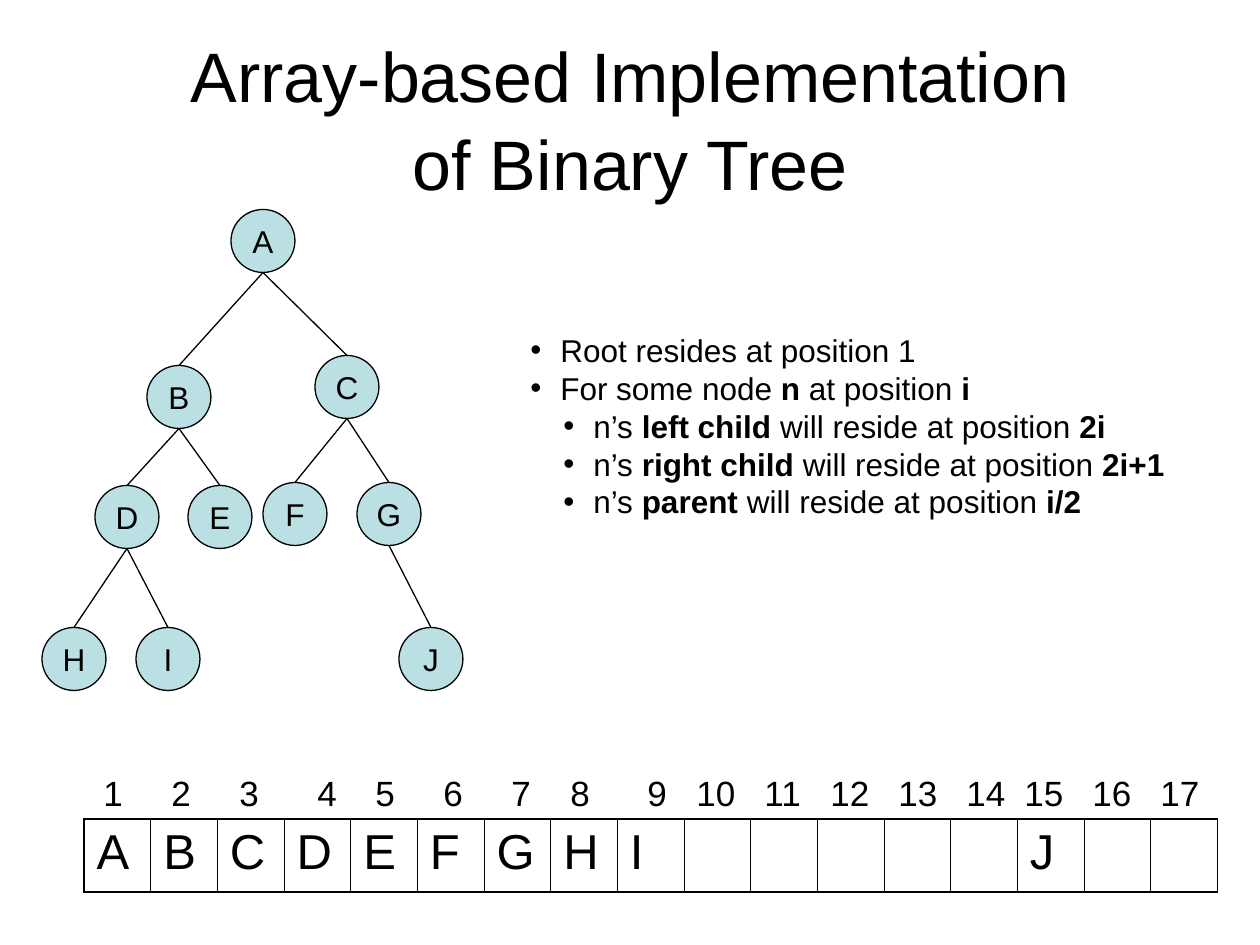
from lxml import etree
from pptx import Presentation
from pptx.dml.color import RGBColor
from pptx.enum.shapes import MSO_CONNECTOR as CONNECTOR, MSO_SHAPE as SHAPE
from pptx.enum.text import MSO_ANCHOR as ANCHOR, PP_ALIGN as ALIGN
from pptx.oxml.ns import qn
from pptx.util import Pt

PX = 914400 / 126
BLACK = RGBColor(0, 0, 0)
PALE_BLUE = RGBColor(0xBB, 0xE0, 0xE3)
FONT = "Arial"
NODE_WIDTH, NODE_HEIGHT = 64, 63
CELLS = 17


def px(*lengths):
    return [round(length * PX) for length in lengths]


def style(para, size):
    for span in para.runs:
        span.font.name = FONT
        span.font.size = Pt(size)
        span.font.color.rgb = BLACK


deck = Presentation()
deck.slide_width, deck.slide_height = px(1260, 945)
page = deck.slides.add_slide(deck.slide_layouts[6])

title = page.shapes.add_textbox(*px(63, 38, 1134, 157)).text_frame
title.word_wrap = True
title.vertical_anchor = ANCHOR.MIDDLE
title.text = "Array-based Implementation\vof Binary Tree"
title.paragraphs[0].alignment = ALIGN.CENTER
title.paragraphs[0].line_spacing = 1.05
style(title.paragraphs[0], 40)

tree = {
    1: ("A", 263, 241),
    2: ("B", 179, 397),
    3: ("C", 347, 387),
    4: ("D", 127, 517),
    5: ("E", 220, 517),
    6: ("F", 295, 514),
    7: ("G", 389, 514),
    8: ("H", 74, 659),
    9: ("I", 168, 659),
    15: ("J", 431, 659),
}
for position, (letter, x, y) in tree.items():
    node = page.shapes.add_shape(
        SHAPE.OVAL, *px(x - NODE_WIDTH / 2, y - NODE_HEIGHT / 2, NODE_WIDTH, NODE_HEIGHT))
    node.shadow.inherit = False
    node.fill.solid()
    node.fill.fore_color.rgb = PALE_BLUE
    node.line.color.rgb = BLACK
    node.line.width = Pt(0.75)
    label = node.text_frame
    label.word_wrap = False
    label.vertical_anchor = ANCHOR.MIDDLE
    label.text = letter
    label.paragraphs[0].alignment = ALIGN.CENTER
    style(label.paragraphs[0], 18)

    if position > 1:
        parent_x, parent_y = tree[position // 2][1:]
        edge = page.shapes.add_connector(
            CONNECTOR.STRAIGHT,
            *px(parent_x, parent_y + NODE_HEIGHT / 2, x, y - NODE_HEIGHT / 2))
        edge.line.color.rgb = BLACK
        edge.line.width = Pt(0.75)
        etree.SubElement(edge._element.spPr, qn("a:effectLst"))

array = page.shapes.add_table(1, CELLS, *px(84, 819, 1134, 73)).table
array.first_row = False
array.horz_banding = False
for index in range(CELLS):
    array.columns[index].width = round(1134 * PX / CELLS)
    cell = array.cell(0, index)
    cell.fill.background()
    if index + 1 in tree:
        cell.text_frame.text = tree[index + 1][0]
        style(cell.text_frame.paragraphs[0], 28)
    borders = {
        "a:lnL": 1.08 if index == 0 else 0.45,
        "a:lnR": 1.08 if index == CELLS - 1 else 0.45,
        "a:lnT": 1.08,
        "a:lnB": 1.08,
    }
    properties = cell._tc.get_or_add_tcPr()
    for order, (side, width) in enumerate(borders.items()):
        border = etree.Element(qn(side), w=str(Pt(width)))
        fill = etree.SubElement(border, qn("a:solidFill"))
        etree.SubElement(fill, qn("a:srgbClr"), val=str(BLACK))
        properties.insert(order, border)

indices = page.shapes.add_textbox(*px(91, 765, 1126, 55)).text_frame
indices.word_wrap = True
indices.text = "\t".join(str(number) for number in range(1, CELLS + 1))
tab_list = etree.SubElement(indices.paragraphs[0]._p.get_or_add_pPr(), qn("a:tabLst"))
for stop in (68, 136, 214, 272, 340, 408, 467, 544, 593, 661, 727, 795, 863, 921, 989, 1057):
    etree.SubElement(tab_list, qn("a:tab"), pos=str(round(stop * PX)), algn="l")
style(indices.paragraphs[0], 20)

rules = [
    (0, ["Root resides at position 1"]),
    (0, ["For some node ", "n", " at position ", "i"]),
    (1, ["n’s ", "left child", " will reside at position ", "2i"]),
    (1, ["n’s ", "right child", " will reside at position ", "2i+1"]),
    (1, ["n’s ", "parent", " will reside at position ", "i/2"]),
]
notes = page.shapes.add_textbox(*px(518, 325, 670, 202)).text_frame
notes.word_wrap = False
for row, (level, parts) in enumerate(rules):
    para = notes.add_paragraph() if row else notes.paragraphs[0]
    para.level = level
    properties = para._p.get_or_add_pPr()
    properties.set("marL", str(round((30 + 33 * level) * PX)))
    properties.set("indent", str(round(-30 * PX)))
    etree.SubElement(properties, qn("a:buFont"), typeface=FONT)
    etree.SubElement(properties, qn("a:buChar"), char="•")
    for order, part in enumerate(parts):
        span = para.add_run()
        span.text = part
        span.font.bold = order % 2 == 1
    style(para, 18)

deck.save("out.pptx")
